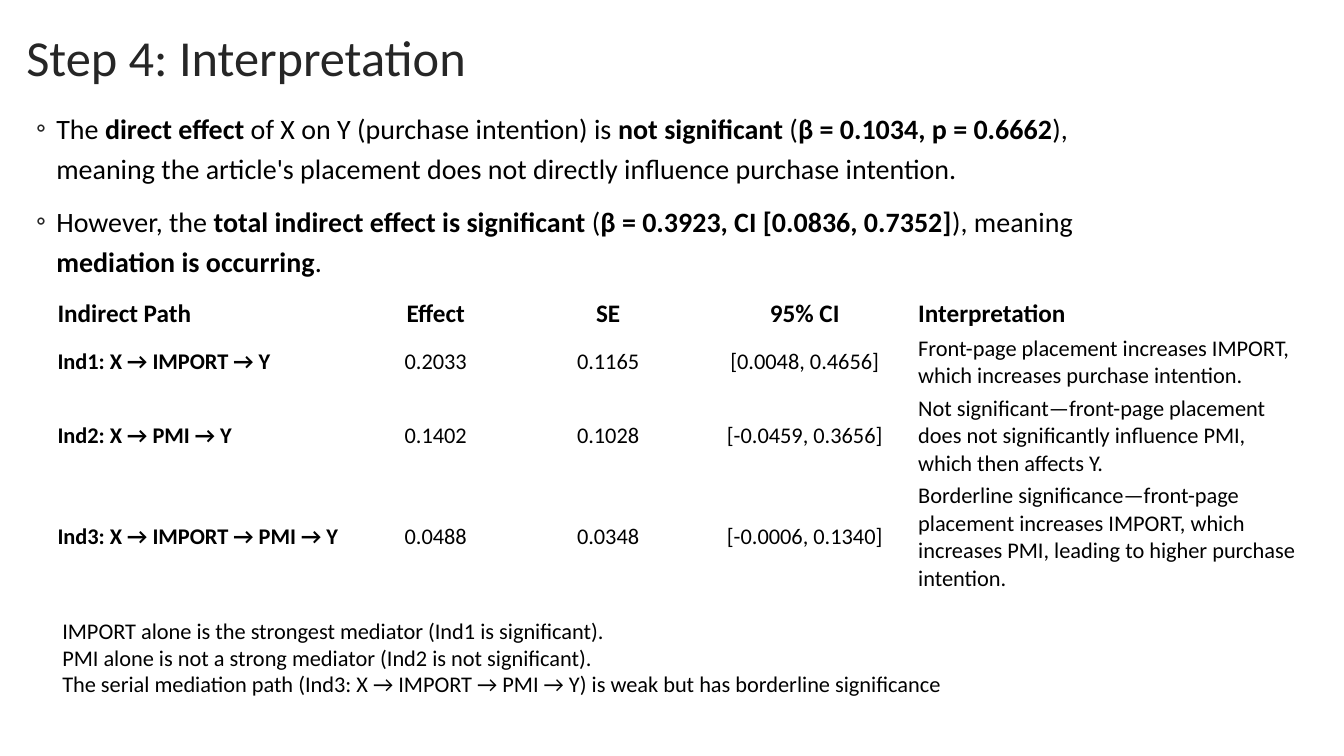
import pptx
import pptx.util
import pptx.dml.color
import pptx.enum.text
import pptx.oxml.ns
import lxml.etree

Cm = pptx.util.Cm
Pt = pptx.util.Pt
ALIGN = pptx.enum.text.PP_ALIGN
ANCHOR = pptx.enum.text.MSO_ANCHOR
FIT = pptx.enum.text.MSO_AUTO_SIZE

FONT = "Calibri"
COLOURS = {"title": "262626", "text": "000000", "page": "FFFFFF"}

# Text between asterisks is bold
FINDINGS = [
    "The *direct effect* of X on Y (purchase intention) is *not significant* "
    "(*β = 0.1034, p = 0.6662*), meaning the article's placement does not "
    "directly influence purchase intention.",
    "However, the *total indirect effect is significant* "
    "(*β = 0.3923, CI [0.0836, 0.7352]*), meaning *mediation is occurring*.",
]
PATHS = [
    ["Indirect Path", "Effect", "SE", "95% CI", "Interpretation"],
    ["Ind1: X → IMPORT → Y", "0.2033", "0.1165", "[0.0048, 0.4656]",
     "Front-page placement increases IMPORT, which increases purchase intention."],
    ["Ind2: X → PMI → Y", "0.1402", "0.1028", "[-0.0459, 0.3656]",
     "Not significant—front-page placement does not significantly influence PMI, "
     "which then affects Y."],
    ["Ind3: X → IMPORT → PMI → Y", "0.0488", "0.0348", "[-0.0006, 0.1340]",
     "Borderline significance—front-page placement increases IMPORT, which "
     "increases PMI, leading to higher purchase intention."],
]
COLUMN_WIDTHS = [7.54, 4.24, 4.45, 5.46, 9.86]
ROW_HEIGHTS = [0.93, 1.52, 2.2, 2.9]
CENTRED_COLUMNS = (1, 2, 3)
CONCLUSIONS = [
    "IMPORT alone is the strongest mediator (Ind1 is significant).",
    "PMI alone is not a strong mediator (Ind2 is not significant).",
    "The serial mediation path (Ind3: X → IMPORT → PMI → Y) is weak but has "
    "borderline significance",
]


def style_span(span, size, bold=False, colour="text"):
    span.font.name = FONT
    span.font.size = Pt(size)
    span.font.bold = bold
    span.font.color.rgb = pptx.dml.color.RGBColor.from_string(COLOURS[colour])


def add_bullet(para):
    """Hang the paragraph behind a small ring."""
    properties = para._p.get_or_add_pPr()
    properties.set("marL", str(Cm(0.51)))
    properties.set("indent", str(-Cm(0.51)))
    tag = pptx.oxml.ns.qn
    colour = lxml.etree.SubElement(properties, tag("a:buClr"))
    lxml.etree.SubElement(colour, tag("a:srgbClr"), val=COLOURS["title"])
    lxml.etree.SubElement(properties, tag("a:buFont"), typeface=FONT)
    lxml.etree.SubElement(properties, tag("a:buChar"), char="◦")


def add_text_box(page, box):
    frame = page.shapes.add_textbox(*map(Cm, box)).text_frame
    frame.word_wrap = True
    return frame


def place_title(page, box, text):
    title = page.shapes.title
    title.left, title.top, title.width, title.height = map(Cm, box)
    frame = title.text_frame
    frame.text = text
    frame.auto_size = FIT.NONE
    frame.vertical_anchor = ANCHOR.MIDDLE
    para = frame.paragraphs[0]
    para.alignment = ALIGN.LEFT
    para.line_spacing = 0.9
    style_span(para.runs[0], 36, colour="title")


def place_findings(page, box):
    frame = add_text_box(page, box)
    for number, finding in enumerate(FINDINGS):
        para = frame.add_paragraph() if number else frame.paragraphs[0]
        para.line_spacing = 1.2
        para.space_before = Pt(9)
        add_bullet(para)
        for position, words in enumerate(finding.split("*")):
            span = para.add_run()
            span.text = words
            style_span(span, 20, bold=position % 2 == 1)


def place_paths_table(page, left, top):
    table = page.shapes.add_table(
        len(PATHS), len(COLUMN_WIDTHS), Cm(left), Cm(top),
        Cm(sum(COLUMN_WIDTHS)), Cm(sum(ROW_HEIGHTS))).table
    table.first_row = False
    table.horz_banding = False
    for column, width in zip(table.columns, COLUMN_WIDTHS):
        column.width = Cm(width)
    for row, height in zip(table.rows, ROW_HEIGHTS):
        row.height = Cm(height)
    for row_number, texts in enumerate(PATHS):
        heading = row_number == 0
        for column_number, text in enumerate(texts):
            cell = table.cell(row_number, column_number)
            cell.text = text
            cell.fill.background()
            cell.vertical_anchor = ANCHOR.MIDDLE
            cell.margin_left = cell.margin_right = Cm(0.13)
            cell.margin_top = cell.margin_bottom = Cm(0.07)
            para = cell.text_frame.paragraphs[0]
            centred = column_number in CENTRED_COLUMNS
            para.alignment = ALIGN.CENTER if centred else ALIGN.LEFT
            style_span(para.runs[0], 18 if heading else 16,
                       bold=heading or column_number == 0)


def place_conclusions(page, box):
    frame = add_text_box(page, box)
    frame.text = "\n".join(CONCLUSIONS)
    frame.auto_size = FIT.SHAPE_TO_FIT_TEXT
    for para in frame.paragraphs:
        style_span(para.runs[0], 16)


def main():
    deck = pptx.Presentation()
    deck.slide_width, deck.slide_height = Cm(33.87), Cm(19.05)
    page = deck.slides.add_slide(deck.slide_layouts.get_by_name("Title Only"))
    fill = page.background.fill
    fill.solid()
    fill.fore_color.rgb = pptx.dml.color.RGBColor.from_string(COLOURS["page"])

    # Boxes are left, top, width, height
    place_title(page, (0.41, 0.53, 27.94, 1.96), "Step 4: Interpretation")
    place_findings(page, (0.66, 2.51, 27.94, 10.69))
    place_paths_table(page, 1.32, 7.44)
    place_conclusions(page, (1.32, 15.42, 29.92, 2.39))
    deck.save("out.pptx")


if __name__ == "__main__":
    main()
